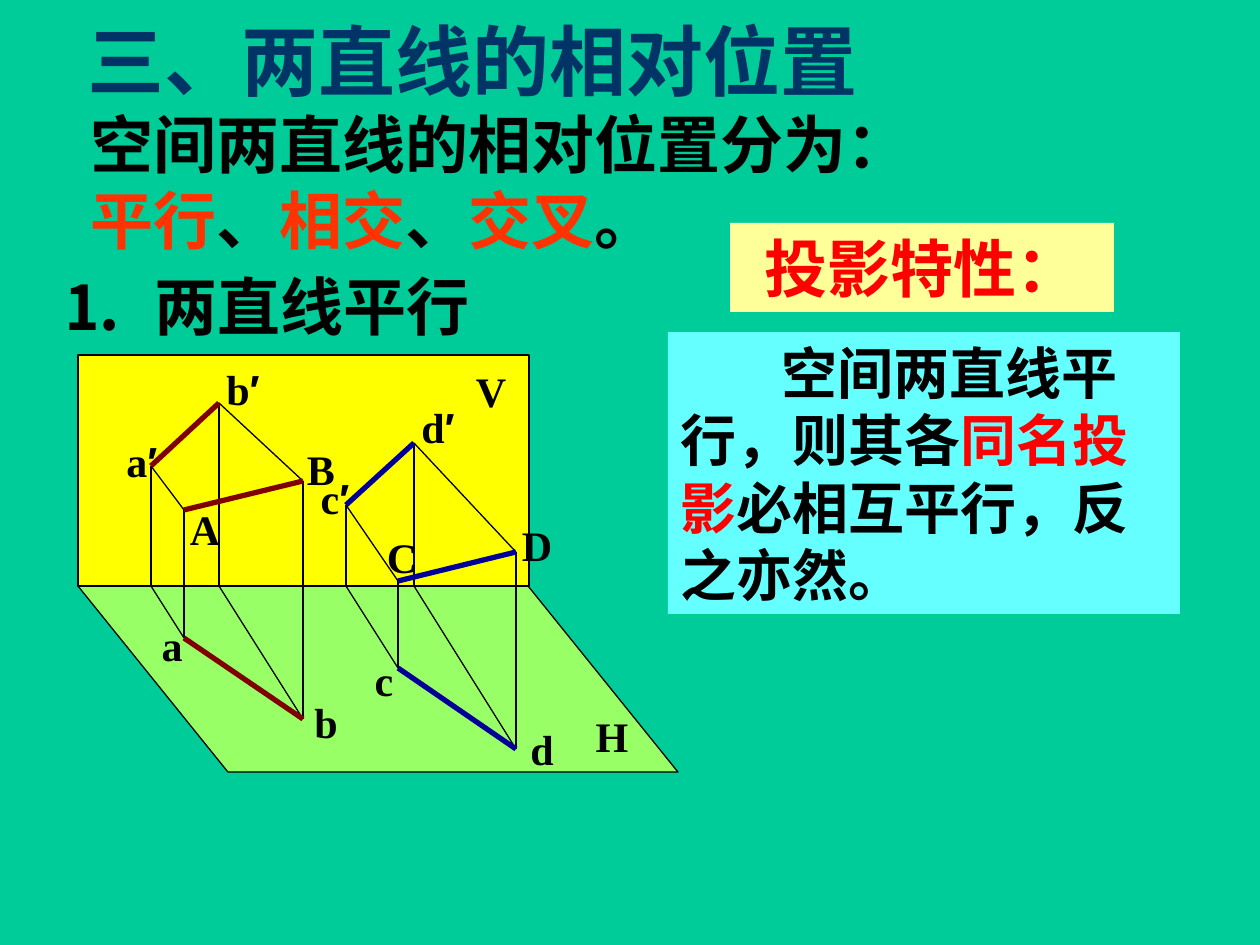
from lxml.etree import SubElement
from pptx import Presentation
from pptx.dml.color import RGBColor
from pptx.enum.shapes import MSO_CONNECTOR, MSO_SHAPE
from pptx.enum.text import MSO_ANCHOR, MSO_AUTO_SIZE, PP_ALIGN
from pptx.oxml.ns import qn
from pptx.util import Emu, Pt

GREEN = RGBColor(0x00, 0xCC, 0x99)
NAVY = RGBColor(0x00, 0x33, 0x66)
BLACK = RGBColor(0, 0, 0)
ORANGE = RGBColor(0xFF, 0x33, 0x00)
RED = RGBColor(0xFF, 0, 0)
CREAM = RGBColor(0xFF, 0xFF, 0x99)
CYAN = RGBColor(0x66, 0xFF, 0xFF)
LIME = RGBColor(0x99, 0xFF, 0x66)
YELLOW = RGBColor(0xFF, 0xFF, 0x00)
MAROON = RGBColor(0x80, 0, 0)
BLUE = RGBColor(0, 0, 0x99)

# Content: paragraphs are lists of (text, colour) runs
TITLE = [[("三、两直线的相对位置", NAVY)]]
INTRO = [
    [("空间两直线的相对位置分为：", BLACK)],
    [("平行", ORANGE), ("、", BLACK), ("相交", ORANGE), ("、", BLACK),
     ("交叉", ORANGE), ("。", BLACK)],
]
HEAD = [[("⒈", BLACK), (" ", BLACK), ("两直线平行", BLACK)]]
TRAIT = [[("投影特性：", RED)]]
RULE = [[("空间两直线平行，则其各", BLACK), ("同名投影", RED),
         ("必相互平行，反之亦然。", BLACK)]]

# Points in space (capitals), on H (small) and on V (primed), in px
AXIS = 586
POINTS = {
    "A": (184, 510), "B": (303, 481), "C": (398, 581), "D": (516, 552),
    "a": (184, 638), "b": (303, 719), "c": (398, 668), "d": (516, 749),
    "a′": (151, 466), "b′": (219, 403), "c′": (346, 505), "d′": (414, 443),
}
PAIRS = [("A", "B", MAROON), ("C", "D", BLUE)]

# Label centres in px
LABELS = {
    "V": (491, 391), "H": (612, 736),
    "A": (205, 529), "B": (321, 469), "C": (402, 557), "D": (537, 545),
    "a": (172, 645), "b": (326, 722), "c": (384, 680), "d": (542, 749),
    "a′": (142, 461), "b′": (243, 389), "c′": (335, 498), "d′": (438, 427),
}
TAG_W, TAG_H = 58, 63


def px(n):
    return Emu(round(n * 914400 / 126))


def place(shape, x, y, w, h):
    shape.left, shape.top, shape.width, shape.height = map(px, (x, y, w, h))
    return shape


def write(shape, text, size=36, align=PP_ALIGN.LEFT, wrap=True, indent=0, gap=0):
    frame = shape.text_frame
    frame.auto_size = MSO_AUTO_SIZE.NONE
    frame.word_wrap = wrap
    frame.vertical_anchor = MSO_ANCHOR.MIDDLE
    for i, runs in enumerate(text):
        para = frame.add_paragraph() if i else frame.paragraphs[0]
        para.alignment = align
        para.space_before = Pt(0)
        props = para._p.get_or_add_pPr()
        props.set("marL", "0")
        props.set("indent", str(px(indent)))
        SubElement(props, qn("a:buNone"))
        for words, color in runs:
            run = para.add_run()
            run.text = words
            run.font.name = "Arial" if words == "′" else "Times New Roman"
            run.font.size = Pt(size)
            run.font.bold = True
            run.font.color.rgb = color
            if words == " " and gap:  # widen the space by gap points
                run._r.get_or_add_rPr().set("spc", str(gap * 100))


def panel(kind, box, fill, edge=None):
    shape = slide.shapes.add_shape(kind, *map(px, box))
    shape.shadow.inherit = False
    shape.fill.solid()
    shape.fill.fore_color.rgb = fill
    if edge is None:
        shape.line.fill.background()
    else:
        shape.line.color.rgb = edge
        shape.line.width = Pt(0.75)
    return shape


def stroke(start, end, color=BLACK, width=0.75):
    line = slide.shapes.add_connector(
        MSO_CONNECTOR.STRAIGHT, *map(px, start + end))
    line.line.color.rgb = color
    line.line.width = Pt(width)
    SubElement(line._element.spPr, qn("a:effectLst"))


deck = Presentation()
deck.slide_width, deck.slide_height = px(1260), px(945)
slide = deck.slides.add_slide(deck.slide_layouts[1])
slide.background.fill.solid()
slide.background.fill.fore_color.rgb = GREEN

# Title, introduction and heading
write(place(slide.shapes.title, 31, 7, 883, 106), TITLE, size=44,
      align=PP_ALIGN.CENTER)
write(place(slide.placeholders[1], 78, 99, 844, 164), INTRO, wrap=False)
write(slide.shapes.add_textbox(*map(px, (49, 261, 465, 88))), HEAD, gap=9)

# Projection rule
write(panel(MSO_SHAPE.RECTANGLE, (730, 223, 384, 89), CREAM), TRAIT,
      align=PP_ALIGN.CENTER)
write(panel(MSO_SHAPE.RECTANGLE, (668, 332, 512, 282), CYAN), RULE,
      size=32, indent=101)

# Planes H and V
floor = panel(MSO_SHAPE.PARALLELOGRAM, (78, AXIS, 600, 186), LIME, BLACK)
floor.adjustments[0] = 0.806
floor._element.spPr.xfrm.set("flipH", "1")
panel(MSO_SHAPE.RECTANGLE, (78, 355, 451, AXIS - 355), YELLOW, BLACK)

# Thin projection lines: space, V, axis, H and back to space
for name in "ABCD":
    low = name.lower()
    top, base, real = POINTS[low + "′"], POINTS[low], POINTS[name]
    ring = [real, top, (top[0], AXIS), base, real]
    for start, end in zip(ring, ring[1:]):
        stroke(start, end)

# Thick lines: each segment and its two projections
for one, two, color in PAIRS:
    for p, q in ((one, two), (one.lower(), two.lower()),
                 (one.lower() + "′", two.lower() + "′")):
        stroke(POINTS[p], POINTS[q], color, 3)

# Labels
for name, (x, y) in LABELS.items():
    tag = slide.shapes.add_textbox(
        *map(px, (x - TAG_W / 2, y - TAG_H / 2, TAG_W, TAG_H)))
    write(tag, [[(sign, BLACK) for sign in name]], size=24,
          align=PP_ALIGN.CENTER, wrap=False)

deck.save("out.pptx")
